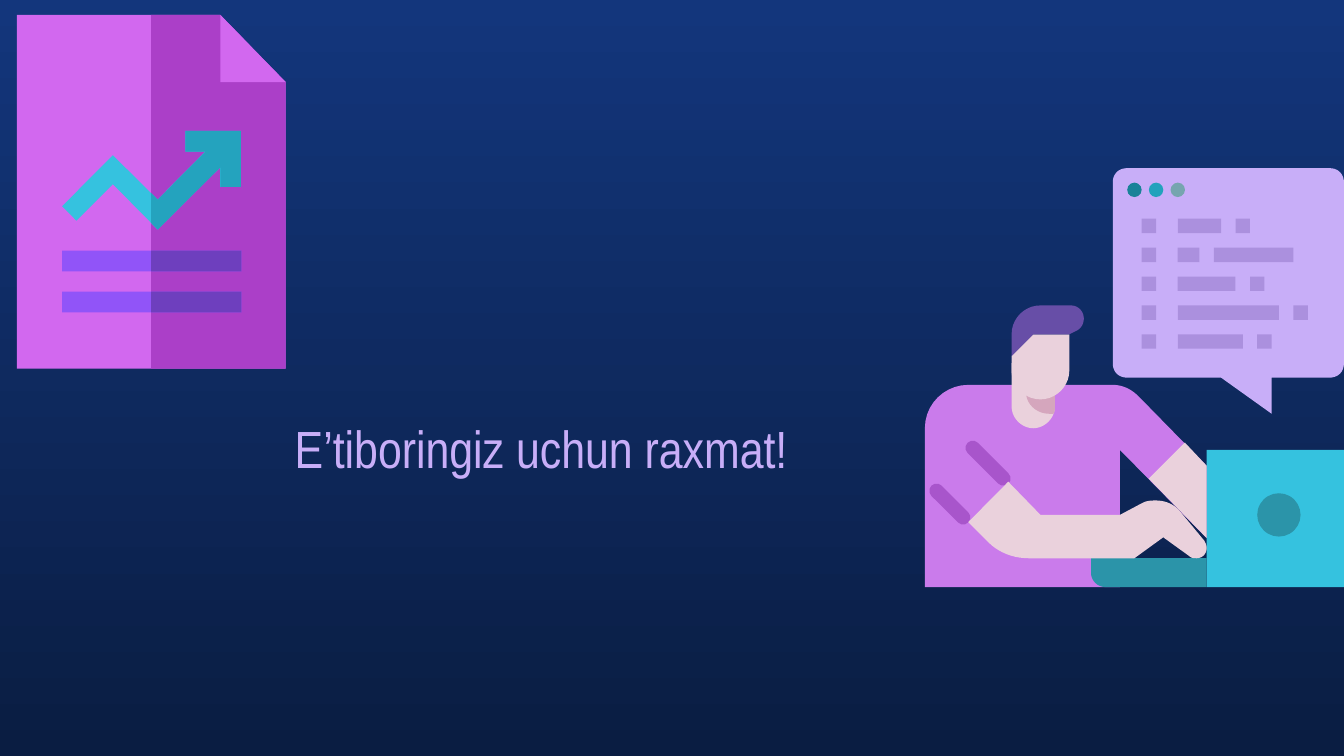
from pptx import Presentation
from pptx.dml.color import RGBColor
from pptx.enum.shapes import MSO_SHAPE
from pptx.enum.text import MSO_ANCHOR, MSO_AUTO_SIZE, PP_ALIGN
from pptx.util import Pt

CURVE_STEPS = 10
LILAC, SKIN, CYAN, TEAL = "C8AEF8", "EAD1DC", "35C2DF", "2B94A9"
ORCHID, PLUM = "D268EF", "AB3FC8"


def rgb(value):
    return RGBColor.from_string(value)


def paint(shape, colour):
    shape.fill.solid()
    shape.fill.fore_color.rgb = rgb(colour)
    shape.line.fill.background()
    shape.shadow.inherit = False


class Canvas:
    """A group of shapes drawn in units of a box's own grid."""

    def __init__(self, slide, left, top, unit=1):
        self.shapes = slide.shapes.add_group_shape().shapes
        self.left, self.top, self.unit = left, top, unit

    def place(self, x, y):
        return Pt(self.left + x * self.unit), Pt(self.top + y * self.unit)

    def preset(self, kind, x, y, width, height, colour):
        shape = self.shapes.add_shape(
            kind, *self.place(x, y), Pt(width * self.unit), Pt(height * self.unit))
        paint(shape, colour)
        return shape

    def rect(self, *box_and_colour):
        return self.preset(MSO_SHAPE.RECTANGLE, *box_and_colour)

    def oval(self, x, y, size, colour):
        return self.preset(MSO_SHAPE.OVAL, x, y, size, size, colour)

    def outline(self, colour, *steps):
        """Close a path: two numbers make a line, six a Bezier curve."""
        points = [steps[0]]
        for step in steps[1:]:
            if len(step) == 2:
                points.append(step)
            else:
                points += curve_points(points[-1], step)
        points = [self.place(*point) for point in points]
        builder = self.shapes.build_freeform(*points[0], scale=1.0)
        builder.add_line_segments(points[1:], close=True)
        paint(builder.convert_to_shape(), colour)


def curve_points(start, curve):
    controls = [start, curve[:2], curve[2:4], curve[4:]]
    points = []
    for step in range(1, CURVE_STEPS + 1):
        t = step / CURVE_STEPS
        weights = ((1 - t) ** 3, 3 * t * (1 - t) ** 2, 3 * t * t * (1 - t), t ** 3)
        points.append(tuple(
            sum(weight * control[axis] for weight, control in zip(weights, controls))
            for axis in (0, 1)))
    return points


def add_background(slide):
    fill = slide.background.fill
    fill.gradient()
    fill.gradient_angle = 270
    for stop, position, colour in zip(fill.gradient_stops, (0, 1), ("13367C", "0A1D42")):
        stop.position = position
        stop.color.rgb = rgb(colour)


def add_title(slide, left, top, width, height):
    title = slide.shapes.title
    title.left, title.top, title.width, title.height = map(Pt, (left, top, width, height))
    frame = title.text_frame
    frame.word_wrap = True
    frame.auto_size = MSO_AUTO_SIZE.NONE
    frame.vertical_anchor = MSO_ANCHOR.TOP
    frame.margin_left = frame.margin_right = Pt(7.2)
    frame.margin_top = frame.margin_bottom = Pt(7.2)
    paragraph = frame.paragraphs[0]
    paragraph.alignment = PP_ALIGN.CENTER
    run = paragraph.add_run()
    run.text = "E’tiboringiz uchun raxmat!"
    run.font.size = Pt(28)
    run.font.name = "Arial Narrow"
    run.font.color.rgb = rgb(LILAC)


def add_programmer(slide, left, top, unit):
    desk = Canvas(slide, left, top, unit)
    # Shirt and sleeve folds
    desk.outline("CA7BEB", (3, 15), (1.4, 15, 0, 16.3, 0, 18), (0, 29), (13.5, 29),
                 (13.5, 19.5), (19.5, 25.6), (19.5, 20.6), (14.8, 15.8),
                 (14.3, 15.3, 13.7, 15, 13, 15))
    for centre_x, centre_y, length in ((1.72, 23.25, 3.6), (4.37, 20.42, 4)):
        fold = desk.preset(MSO_SHAPE.ROUNDED_RECTANGLE, centre_x - length / 2,
                           centre_y - 0.5, length, 1, "A855CB")
        fold.adjustments[0] = 0.5
        fold.rotation = 45
    # Laptop
    desk.rect(19.5, 19.5, 9.5, 9.5, CYAN)
    desk.outline(TEAL, (11.5, 27), (11.5, 28), (11.5, 28.6, 12, 29, 12.5, 29),
                 (19.5, 29), (19.5, 27))
    # Neck and its shade
    desk.outline(SKIN, (6, 13.5), (6, 16.5), (6, 17.3, 6.7, 18, 7.5, 18),
                 (8.3, 18, 9, 17.3, 9, 16.5), (9, 13.5))
    desk.outline("D5A6BD", (7, 13.5), (7, 15.5), (7, 16.3, 7.7, 17, 8.6, 17),
                 (8.9, 17), (9, 16.9, 9, 16.7, 9, 16.5), (9, 13.5))
    # Near arm with hand, then far arm
    desk.outline(SKIN, (5.77, 21.7), (3, 24.5), (4.4, 25.9), (5.1, 26.6, 6.1, 27, 7.2, 27),
                 (14.5, 27), (16.5, 25.55), (18.3, 26.85), (18.45, 27, 18.6, 27, 18.8, 27),
                 (19.2, 27, 19.5, 26.7, 19.5, 26.3), (19.5, 26.1, 19.45, 26, 19.35, 25.8),
                 (17.7, 23.8), (17.3, 23.3, 16.7, 23, 16, 23),
                 (15.7, 23, 15.35, 23, 15, 23.2), (13.5, 24), (8, 24))
    desk.outline(SKIN, (18, 19), (15.5, 21.5), (19.5, 25.6), (19.5, 20.6))
    # Face and hair
    desk.outline(SKIN, (7.5, 11.5), (6, 13), (6, 14), (6, 15.1, 6.9, 16, 8, 16),
                 (9.1, 16, 10, 15.1, 10, 14), (10, 11.5))
    desk.outline("674EA7", (8, 9.5), (6.9, 9.5, 6, 10.4, 6, 11.5), (6, 13), (7.5, 11.5),
                 (10, 11.5), (10.5, 11.25), (10.8, 11.1, 11, 10.8, 11, 10.4),
                 (11, 9.9, 10.6, 9.5, 10.1, 9.5))
    desk.oval(23, 22.5, 3, TEAL)


def add_code_bubble(slide, left, top, unit):
    bubble = Canvas(slide, left, top, unit)
    bubble.outline(LILAC, (1, 0), (0.4, 0, 0, 0.4, 0, 1), (0, 13.5),
                   (0, 14.1, 0.4, 14.5, 1, 14.5), (7.5, 14.5), (11, 17), (11, 14.5),
                   (15, 14.5), (15.6, 14.5, 16, 14.1, 16, 13.5), (16, 1),
                   (16, 0.4, 15.6, 0, 15, 0))
    word_widths = ((3, 1), (1.5, 5.5), (4, 1), (7, 1), (4.5, 1))
    for row, (first, second) in enumerate(word_widths):
        for x, width in ((2, 1), (4.5, first), (5.5 + first, second)):
            bubble.rect(x, 3.5 + 2 * row, width, 1, "AB90DE")
    for index, colour in enumerate(("198298", "22A2BC", "76A5AF")):
        bubble.oval(1 + 1.5 * index, 1, 1, colour)


def add_report(slide, left, top):
    width, height, middle = 144, 189.5, 72
    fold_x, fold_y = 109, 36
    report = Canvas(slide, left, top)
    for x, colour in ((0, ORCHID), (middle, PLUM)):
        report.outline(colour, (x, 0), (x, height), (width, height), (width, fold_y),
                       (fold_x, 0))
    report.outline(ORCHID, (fold_x, 0), (fold_x, fold_y), (width, fold_y))

    head = [(109, 81.7), (109, 92.2), (120, 92.2), (120, 62.1), (90.3, 62.1),
            (90.3, 73.3), (101, 73.3), (75.5, 99)]
    tail = [(51.5, 75.2), (24.3, 102.5), (32, 110.3), (51.5, 90.7)]
    report.outline(CYAN, *head, *tail, (75.5, 115))
    report.outline("24A3BE", *head, (middle, 95.5), (middle, 111.5), (75.5, 115))

    for y in (126.3, 148.3):
        for x, colour in ((24.3, "9154F8"), (middle, "6E3FBE")):
            report.rect(x, y, 120.3 - x, 11.1, colour)


def main():
    presentation = Presentation()
    presentation.slide_width, presentation.slide_height = Pt(720), Pt(405)
    slide = presentation.slides.add_slide(presentation.slide_layouts[5])
    add_background(slide)
    add_title(slide, 120.24, 216, 339.12, 69.12)
    left, top, unit = 495.5, 90.1, 7.74
    add_programmer(slide, left, top, unit)
    add_code_bubble(slide, left + 13 * unit, top, unit)
    add_report(slide, 9, 8)
    presentation.save("out.pptx")


if __name__ == "__main__":
    main()
